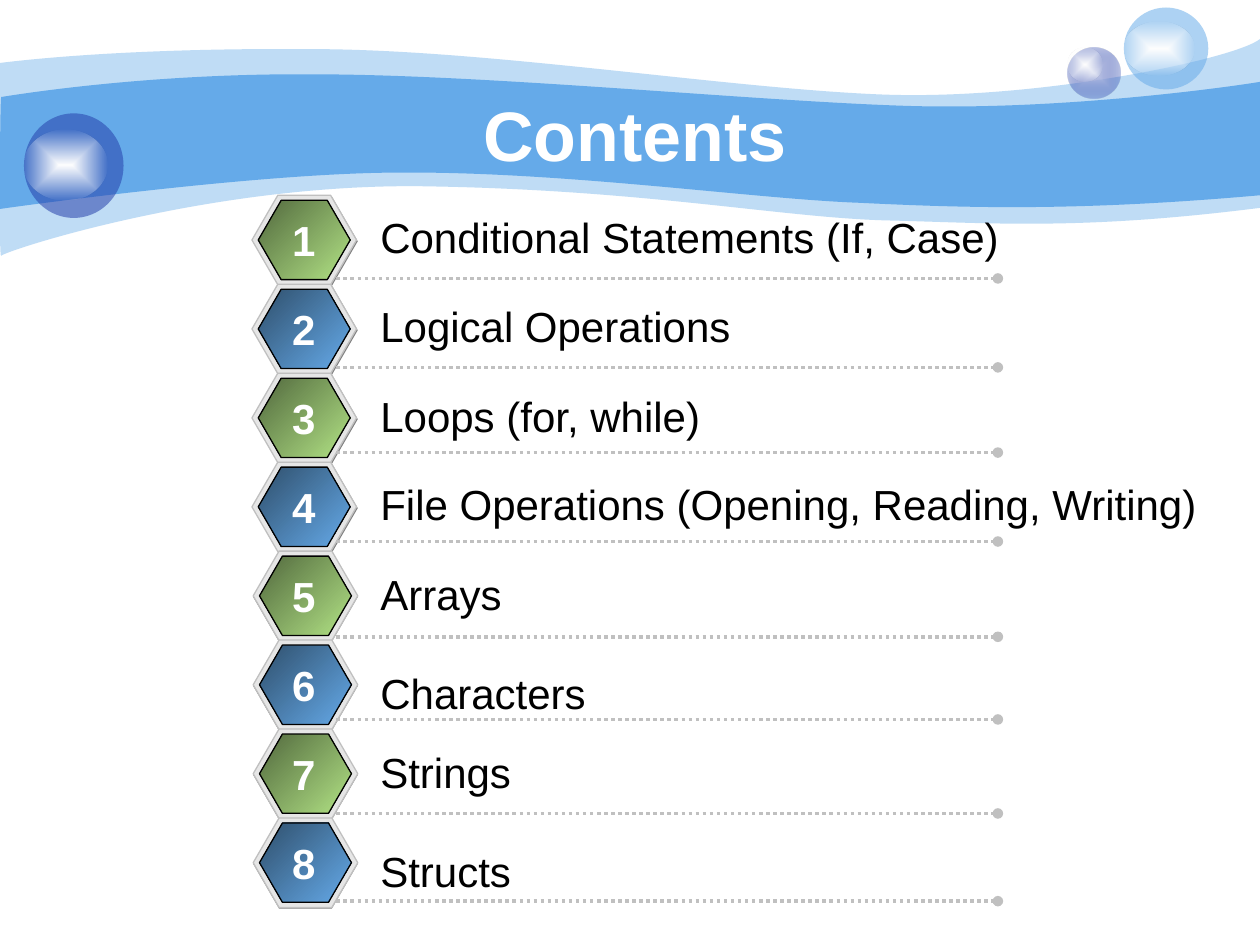
from lxml import etree
from pptx import Presentation
from pptx.dml.color import RGBColor
from pptx.enum.dml import MSO_LINE
from pptx.enum.shapes import MSO_CONNECTOR, MSO_SHAPE
from pptx.enum.text import MSO_ANCHOR, MSO_AUTO_SIZE, PP_ALIGN
from pptx.oxml.ns import qn
from pptx.util import Inches, Pt

HEXAGON, OVAL = MSO_SHAPE.HEXAGON, MSO_SHAPE.OVAL
STRAIGHT, DOTTED = MSO_CONNECTOR.STRAIGHT, MSO_LINE.ROUND_DOT
CENTER, LEFT, MIDDLE = PP_ALIGN.CENTER, PP_ALIGN.LEFT, MSO_ANCHOR.MIDDLE
FIT_SHAPE = MSO_AUTO_SIZE.SHAPE_TO_FIT_TEXT

WHITE, BLACK = RGBColor(255, 255, 255), RGBColor(0, 0, 0)
SKY, NAVY = RGBColor(0x65, 0xAA, 0xE9), RGBColor(0x23, 0x3D, 0xA9)
LAVENDER = RGBColor(0xC7, 0xCE, 0xE9)
DARK_GREEN, GREEN = RGBColor(0x52, 0x69, 0x3E), RGBColor(0xB2, 0xE3, 0x85)
DARK_BLUE = RGBColor(0x2F, 0x4F, 0x6C)
GRAY, SILVER = RGBColor(0x80, 0x80, 0x80), RGBColor(0xC0, 0xC0, 0xC0)
PALE = RGBColor(0xE6, 0xE6, 0xE6)

# The slide is a grid of 100 columns by 75 rows of square cells.
SLIDE_W, SLIDE_H = Inches(10), Inches(7.5)
CELL = SLIDE_W / 100
FIRST_ROW, ROW_PITCH = 15.5, 7.06

# Topic, label width, drop of the label and of the dotted rule below the row top
TOPICS = [
    ("Conditional Statements (If, Case)", 59.4, 0.8, 6.6),
    ("Logical Operations", 49.2, 0.8, 6.6),
    ("Loops (for, while)", 68.9, 0.9, 6.3),
    ("File Operations (Opening, Reading, Writing)", 68.9, 0.8, 6.3),
    ("Arrays", 49.2, 0.9, 6.8),
    ("Characters", 68.9, 1.7, 6.3),
    ("Strings", 53.8, 0.9, 6.7),
    ("Structs", 68.9, 1.7, 6.6),
]

# Outlines: a start point, then Bezier segments (six numbers) or lines (two)
PALE_WAVE = [
    (0, 5), (2.4, 4.7, 10.7, 3.8, 24.7, 3.9), (38.6, 3.9, 57.5, 7, 69.9, 7.5),
    (82.2, 8, 98, 4.7, 100, 3.1), (100, 16.5),
    (85.8, 18.3, 78.7, 17.7, 70.5, 17.5), (62.2, 17.3, 51.5, 15.1, 34.3, 14.8),
    (17.2, 14.4, 0.4, 19.9, 0.1, 20.3), (-0.1, 20.8, 0, 7.5, 0, 5),
]
BLUE_WAVE = [
    (0.1, 7.7), (0.2, 7.7, 11, 5.8, 24.8, 5.9), (38.6, 5.9, 59.5, 8, 71.8, 8.4),
    (84.1, 8.8, 97.6, 6.9, 100, 6.5), (100, 15.5),
    (85.3, 16.8, 76.5, 16.5, 68.2, 16.1), (59.9, 15.8, 44.7, 13.6, 31.7, 13.7),
    (20.3, 13.7, -0.2, 16.6, -0.1, 16.6), (0, 16.6, 0, 7.7, 0.1, 7.7),
]


def cells(*values):
    return [round(v * CELL) for v in values]


def set_alpha(sp, percent, index=0):
    """Set the opacity of one colour of the shape's fill."""
    color = list(sp._element.spPr.iter(qn("a:srgbClr")))[index]
    etree.SubElement(color, qn("a:alpha"), val=str(percent * 1000))


def fill_solid(sp, color, alpha=100):
    sp.fill.solid()
    sp.fill.fore_color.rgb = color
    if alpha < 100:
        set_alpha(sp, alpha)


def fill_gradient(sp, start, end):
    """Blend two colours from the top left to the bottom right."""
    sp.fill.gradient()
    sp.fill.gradient_angle = 315
    for stop, color in zip(sp.fill.gradient_stops, (start, end)):
        stop.color.rgb = color


def fill_glow(sp, inner, outer, alpha):
    """Blend from the centre to a translucent edge."""
    fill_gradient(sp, inner, outer)
    set_alpha(sp, alpha, 1)
    grad = sp._element.spPr.find(qn("a:gradFill"))
    grad.remove(grad.find(qn("a:lin")))
    rect = etree.SubElement(grad, qn("a:path"), path="rect")
    etree.SubElement(rect, qn("a:fillToRect"), l="50000", t="50000", r="50000", b="50000")


def add_preset(shapes, kind, box, line=None):
    sp = shapes.add_shape(kind, *cells(*box))
    sp.shadow.inherit = False
    if line is None:
        sp.line.fill.background()
    else:
        sp.line.color.rgb = line
        sp.line.width = Pt(0.75)
    return sp


def add_wave(s, outline, alpha=100):
    """Build the outline from its corners, then bend the curved segments."""
    start, *segments = outline
    builder = s.shapes.build_freeform(*cells(*start))
    builder.add_line_segments([cells(*seg[-2:]) for seg in segments], close=True)
    sp = builder.convert_to_shape()
    for side, seg in zip(list(sp._element.spPr.iter(qn("a:lnTo"))), segments):
        if len(seg) == 2:
            continue
        curve = etree.Element(qn("a:cubicBezTo"))
        for i in (0, 2, 4):
            x, y = cells(*seg[i:i + 2])
            etree.SubElement(curve, qn("a:pt"), x=str(x - sp.left), y=str(y - sp.top))
        side.getparent().replace(side, curve)
    sp.shadow.inherit = False
    sp.line.fill.background()
    fill_solid(sp, SKY, alpha)
    return sp


def add_ball(s, box, shine_box, color):
    """Add a bubble with a shine; without a colour its body glows."""
    group = s.shapes.add_group_shape()
    body = add_preset(group.shapes, OVAL, box)
    if color is None:
        fill_glow(body, LAVENDER, NAVY, 31)
    else:
        fill_solid(body, color, 53)
    fill_glow(add_preset(group.shapes, OVAL, shine_box), WHITE, WHITE, 0)
    return group


def move_to_layout(s, shapes):
    tree = s.slide_layout.shapes._spTree
    for sp in shapes:
        tree.append(sp._element)
    for number, props in enumerate(tree.iter(qn("p:cNvPr")), 1):
        props.set("id", str(number))


def add_badge(s, left, top, colors):
    shapes = s.shapes.add_group_shape().shapes
    shade = add_preset(shapes, HEXAGON, (20.1, top + 0.1, 8.3, 7.1))
    rim = add_preset(shapes, HEXAGON, (left, top, 8.3, 7.1), SILVER)
    face = add_preset(shapes, HEXAGON, (left + 0.5, top + 0.4, 7.3, 6.3), BLACK)
    for sp in (shade, rim, face):
        sp.adjustments[0] = 0.289
    fill_solid(shade, GRAY)
    fill_solid(rim, PALE)
    fill_gradient(face, *colors)


def add_rule(s, y):
    line = s.shapes.add_connector(STRAIGHT, *cells(26.7, y, 79.2, y))
    line.line.color.rgb = SILVER
    line.line.width = Pt(2)
    line.line.dash_style = DOTTED
    etree.SubElement(line.line._get_or_add_ln(), qn("a:tailEnd"), type="oval")
    etree.SubElement(line._element.spPr, qn("a:effectLst"))


def write(tf, text, size, color, bold, align):
    tf.text = text
    p = tf.paragraphs[0]
    p.alignment = align
    font = p.runs[0].font
    font.name, font.size, font.bold = "Arial", Pt(size), bold
    font.color.rgb = color


def add_text(s, box, text, color, bold=False, align=LEFT, wrap=True):
    tf = s.shapes.add_textbox(*cells(*box)).text_frame
    tf.word_wrap = wrap
    tf.auto_size = FIT_SHAPE
    write(tf, text, 24, color, bold, align)


def place_title(s, text):
    title = s.shapes.title
    title.left, title.top, title.width, title.height = cells(10, 7.5, 80.8, 6.2)
    title.text_frame.vertical_anchor = MIDDLE
    write(title.text_frame, text, 40, WHITE, True, CENTER)


def main():
    prs = Presentation()
    prs.slide_width, prs.slide_height = SLIDE_W, SLIDE_H
    s = prs.slides.add_slide(prs.slide_layouts[5])
    move_to_layout(s, [
        add_wave(s, PALE_WAVE, 41),
        add_wave(s, BLUE_WAVE),
        add_ball(s, (84.7, 3.8, 4.2, 4), (84.7, 3.8, 2.8, 2.7), None),
        add_ball(s, (89.2, 0.6, 6.7, 6.5), (89.2, 1.7, 5.6, 4.3), SKY),
        add_ball(s, (1.9, 9, 7.9, 8.3), (1.9, 10.3, 6.6, 5.6), NAVY),
    ])
    place_title(s, "Contents")
    for i, (topic, width, label_drop, rule_drop) in enumerate(TOPICS):
        top = FIRST_ROW + i * ROW_PITCH
        left = 20 if i < len(TOPICS) / 2 else 20.1
        add_badge(s, left, top, (DARK_BLUE, SKY) if i % 2 else (DARK_GREEN, GREEN))
        add_rule(s, top + rule_drop)
        add_text(s, (29.2, top + label_drop, width, 5), topic, BLACK)
        add_text(s, (22.2, top + 1.05, 3.8, 5), str(i + 1), WHITE, True, CENTER, False)
    prs.save("out.pptx")


if __name__ == "__main__":
    main()
